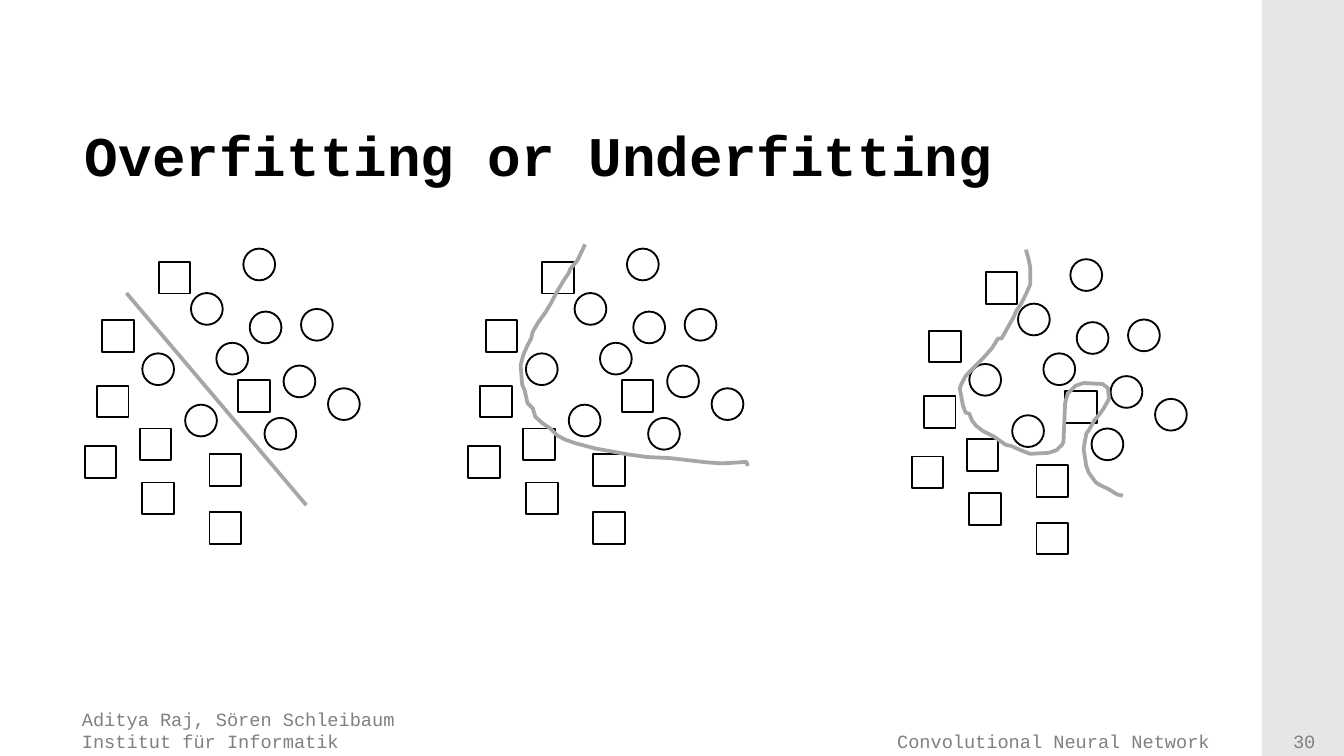
from lxml import etree
from pptx import Presentation
from pptx import util as u
from pptx.dml.color import RGBColor
from pptx.enum import shapes, text
from pptx.oxml.ns import qn

COLORS = {"ink": "000000", "boundary": "A6A6A6", "footer": "808080", "band": "E6E6E6"}
FONT = "Courier New"
MARK_SIZE = 0.6

SQUARES = [(0.33, 1.35), (1.4, 0.25), (2.9, 2.49), (2.36, 3.89), (0.23, 2.59),
           (1.04, 3.4), (0, 3.73), (1.09, 4.42), (2.36, 4.98)]
CIRCLES = [(2.01, 0.84), (3.12, 1.19), (2.49, 1.78), (3, 0), (1.09, 1.98),
           (1.9, 2.95), (3.76, 2.21), (4.09, 1.14), (3.4, 3.2), (4.6, 2.64)]
UNDERFIT = [(0.79, 0.84), (4.19, 4.85)]
GOOD_FIT = [
    (2.21, -0.08), (2.06, 0.23), (1.93, 0.38), (1.9, 0.46), (1.8, 0.61), (1.68, 0.81),
    (1.57, 1.02), (1.47, 1.19), (1.32, 1.4), (1.22, 1.57), (1.19, 1.7), (1.12, 1.83),
    (1.04, 2.01), (0.99, 2.21), (1.02, 2.57), (1.07, 2.69), (1.12, 2.92), (1.22, 3.02),
    (1.27, 3.18), (1.4, 3.3), (1.55, 3.4), (1.68, 3.53), (1.83, 3.61), (2.03, 3.68),
    (2.41, 3.78), (2.74, 3.84), (3.02, 3.89), (3.38, 3.94), (3.81, 3.96), (4.5, 4.04),
    (4.8, 4.06), (5.13, 4.04), (5.26, 4.03), (5.28, 4.11)]
OVERFIT = [
    (2.16, -0.18), (2.21, 0), (2.24, 0.15), (2.24, 0.48), (2.16, 0.66), (2.06, 0.86),
    (1.98, 0.97), (1.93, 1.09), (1.8, 1.32), (1.7, 1.5), (1.63, 1.5), (1.52, 1.68),
    (1.37, 1.85), (1.14, 2.08), (1.02, 2.21), (0.94, 2.36), (0.91, 2.44), (0.97, 2.77),
    (1.02, 2.9), (1.09, 2.92), (1.14, 3.05), (1.22, 3.15), (1.35, 3.25), (1.55, 3.35),
    (1.78, 3.51), (1.88, 3.53), (2.06, 3.61), (2.24, 3.68), (2.59, 3.66), (2.74, 3.61),
    (2.84, 3.51), (2.87, 3.45), (2.9, 2.72), (2.95, 2.54), (3.1, 2.39), (3.25, 2.34),
    (3.61, 2.36), (3.71, 2.44), (3.73, 2.64), (3.63, 2.82), (3.56, 2.92), (3.45, 3.05),
    (3.35, 3.23), (3.3, 3.3), (3.25, 3.58), (3.3, 3.91), (3.35, 4.04), (3.48, 4.22),
    (3.56, 4.27), (3.71, 4.34), (3.89, 4.45), (3.99, 4.47)]


def color(name):
    return RGBColor.from_string(COLORS[name])


def set_line(line, name, width):
    line.color.rgb = color(name)
    line.width = u.Pt(width)


def set_font(paragraph, size, name, bold=False):
    font = paragraph.font
    font.name, font.size, font.bold = FONT, u.Pt(size), bold
    font.color.rgb = color(name)


def add_title(slide, left, top, width, height):
    title = slide.shapes.title
    title.left, title.top, title.width, title.height = map(u.Cm, (left, top, width, height))
    frame = title.text_frame
    frame.text = "Overfitting or Underfitting"
    frame.auto_size = text.MSO_AUTO_SIZE.NONE
    frame.vertical_anchor = text.MSO_ANCHOR.TOP
    frame.margin_top = u.Cm(0.32)
    frame.paragraphs[0].alignment = text.PP_ALIGN.LEFT
    set_font(frame.paragraphs[0], 30, "ink", True)


def add_band(slide, left, top, width, height):
    band = slide.shapes.add_shape(shapes.MSO_SHAPE.RECTANGLE, *map(u.Cm, (left, top, width, height)))
    band.shadow.inherit = False
    band.fill.solid()
    band.fill.fore_color.rgb = color("band")
    band.line.fill.background()


def add_footer(slide, left, top, width, height, lines, alignment):
    footer = slide.shapes.add_textbox(*map(u.Cm, (left, top, width, height)))
    frame = footer.text_frame
    frame.word_wrap = True
    frame.vertical_anchor = text.MSO_ANCHOR.BOTTOM
    frame.text = "\n".join(lines)
    for paragraph in frame.paragraphs:
        paragraph.alignment = alignment
        set_font(paragraph, 10, "footer")


def add_straight_boundary(slide, points):
    (x1, y1), (x2, y2) = points
    line = slide.shapes.add_connector(shapes.MSO_CONNECTOR.STRAIGHT, x1, y1, x2, y2)
    set_line(line.line, "boundary", 2)
    etree.SubElement(line._element.spPr, qn("a:effectLst"))


def add_curved_boundary(slide, points):
    builder = slide.shapes.build_freeform(*points[0])
    builder.add_line_segments(points[1:], close=False)
    curve = builder.convert_to_shape()
    curve.shadow.inherit = False
    curve.fill.background()
    set_line(curve.line, "boundary", 2)


def add_scatter(slide, left, top, boundary):
    points = [(u.Cm(left + x), u.Cm(top + y)) for x, y in boundary]
    straight = len(points) == 2
    if straight:
        add_straight_boundary(slide, points)
    for preset, places in ((shapes.MSO_SHAPE.RECTANGLE, SQUARES), (shapes.MSO_SHAPE.OVAL, CIRCLES)):
        for x, y in places:
            mark = slide.shapes.add_shape(
                preset, u.Cm(left + x), u.Cm(top + y), u.Cm(MARK_SIZE), u.Cm(MARK_SIZE))
            mark.shadow.inherit = False
            mark.fill.background()
            set_line(mark.line, "ink", 1)
    if not straight:
        add_curved_boundary(slide, points)


presentation = Presentation()
presentation.slide_width, presentation.slide_height = u.Cm(25.4), u.Cm(14.29)
slide = presentation.slides.add_slide(presentation.slide_layouts[5])
add_band(slide, 23.85, 0, 1.55, 14.29)
add_footer(slide, 1.3, 13.23, 10.8, 1.12,
           ["Aditya Raj, Sören Schleibaum", "Institut für Informatik"], text.PP_ALIGN.LEFT)
add_footer(slide, 12.32, 13.33, 11, 1.02, ["Convolutional Neural Network "], text.PP_ALIGN.RIGHT)
add_footer(slide, 24, 13.67, 1.3, 0.68, ["30"], text.PP_ALIGN.CENTER)
add_title(slide, 1.35, 1.96, 21.95, 1.45)
for left, top, boundary in ((1.6, 4.7, UNDERFIT), (8.85, 4.7, GOOD_FIT), (17.23, 4.9, OVERFIT)):
    add_scatter(slide, left, top, boundary)
presentation.save("out.pptx")
